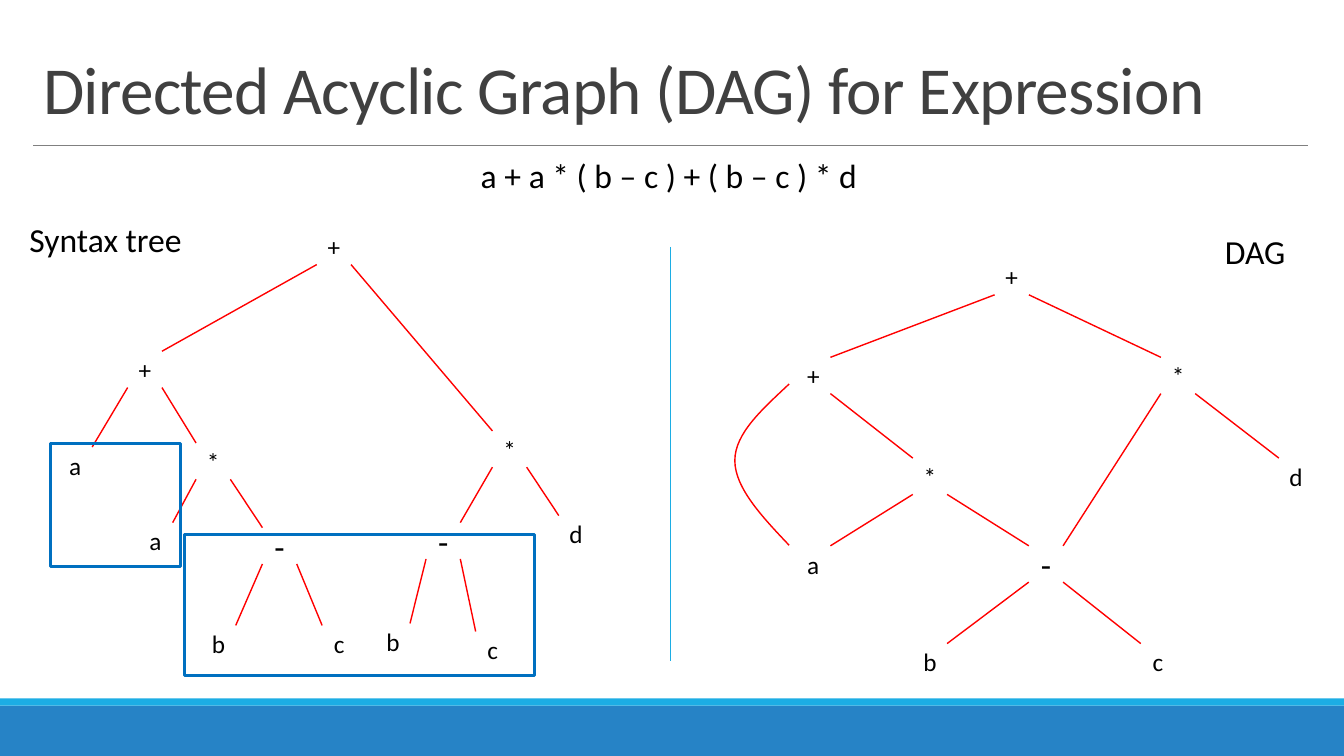
import pptx
import pptx.util
import pptx.dml.color
import pptx.enum.shapes
import pptx.enum.text
import pptx.oxml.ns
import pptx.oxml.xmlchemy

Inches = pptx.util.Inches
Kind = pptx.enum.shapes.MSO_SHAPE
Anchor = pptx.enum.text.MSO_ANCHOR
Align = pptx.enum.text.PP_ALIGN
qn = pptx.oxml.ns.qn

WIDTH, HEIGHT = 13.33, 7.5
FONT = "Calibri"
COLORS = {"paper": "FFFFFF", "band": "2683C6", "stripe": "1CADE4", "rule": "808080",
          "title": "404040", "text": "000000", "edge": "FF0000", "frame": "0070C0"}
NODE_WIDTH, NODE_HEIGHT = 0.49, 0.51
PORT_X, PORT_Y = 0.17, 0.18

TREE = {
    "box": (0, 2, 6.65, 5),
    "heading": ("Syntax tree", 2.9, 2.4, 1.73),
    "nodes": {
        "sum": ("+", 49.8, 8.9), "inner sum": ("+", 21.6, 33.3),
        "first a": ("a", 11.2, 52.3), "left product": ("*", 31.8, 51.5),
        "second a": ("a", 23.2, 67.3), "left minus": ("-", 41.7, 68.3),
        "left b": ("b", 32.6, 87.7), "left c": ("c", 50.6, 87.7),
        "right product": ("*", 76, 49.1), "d": ("d", 85.9, 65.9),
        "right minus": ("-", 66.1, 67.3), "right b": ("b", 58.6, 87.3),
        "right c": ("c", 73.5, 88.9)},
    "children": {
        "sum": ("inner sum", "right product"), "inner sum": ("first a", "left product"),
        "left product": ("second a", "left minus"), "left minus": ("left b", "left c"),
        "right product": ("right minus", "d"), "right minus": ("right b", "right c")},
    "curves": [],
    "frames": [(Kind.RECTANGLE, 27.5, 66, 52.2, 28),
               (Kind.FLOWCHART_PROCESS, 7.5, 48, 19.4, 24.4)],
}
DAG = {
    "box": (6.65, 2, 6.65, 5),
    "heading": ("DAG", 81.2, 4.8, 0.81),
    "nodes": {
        "sum": ("+", 50.9, 14.9), "inner sum": ("+", 21.3, 34.5),
        "right product": ("*", 75.7, 34.5), "d": ("d", 93.3, 54.5),
        "left product": ("*", 38.7, 54.5), "a": ("a", 21.3, 71.9),
        "minus": ("-", 56, 71.9), "b": ("b", 38.7, 91.3), "c": ("c", 72.7, 91.3)},
    "children": {
        "sum": ("inner sum", "right product"), "inner sum": ("left product",),
        "right product": ("minus", "d"), "left product": ("a", "minus"),
        "minus": ("b", "c")},
    "curves": [[(17.7, 36.2), (13.7, 41.2), (9.6, 46), (9.6, 51.4),
                (9.6, 56.8), (13.7, 62.6), (17.7, 68.2)]],
    "frames": [],
}


def rgb(name):
    """Return the named colour."""
    return pptx.dml.color.RGBColor.from_string(COLORS[name])


def apply(target, **formats):
    """Set each format value on the target."""
    for key, value in formats.items():
        setattr(target, key, value)


def write(shape, words, size, color="text", **paragraph_formats):
    """Put one formatted paragraph into a shape and return its run."""
    paragraph = shape.text_frame.paragraphs[0]
    apply(paragraph, **paragraph_formats)
    run = paragraph.add_run()
    run.text = words
    apply(run.font, name=FONT, size=pptx.util.Pt(size))
    run.font.color.rgb = rgb(color)
    return run


def label(slide, words, box, size, color="text", wrap=False, anchor=Anchor.TOP, **formats):
    """Add a text box and return its run."""
    area = slide.shapes.add_textbox(*map(Inches, box))
    apply(area.text_frame, word_wrap=wrap, vertical_anchor=anchor)
    return write(area, words, size, color, **formats)


def outline(shape, color, width):
    """Give a shape a coloured outline without fill or shadow."""
    shape.shadow.inherit = False
    shape.fill.background()
    shape.line.color.rgb = rgb(color)
    shape.line.width = pptx.util.Pt(width)


def solid(slide, kind, box, color):
    """Add a filled shape without outline."""
    shape = slide.shapes.add_shape(kind, *map(Inches, box))
    shape.shadow.inherit = False
    shape.fill.solid()
    shape.fill.fore_color.rgb = rgb(color)
    shape.line.fill.background()
    return shape


def straight(slide, start, end, color, width=1):
    """Draw a straight line between two points."""
    line = slide.shapes.add_connector(pptx.enum.shapes.MSO_CONNECTOR.STRAIGHT,
                                      *map(Inches, (*start, *end)))
    line.line.color.rgb = rgb(color)
    line.line.width = pptx.util.Pt(width)
    line._element.spPr.append(pptx.oxml.xmlchemy.OxmlElement("a:effectLst"))


def curve(slide, points):
    """Draw cubic curves through a start point and triples of control points."""
    start, *rest = [tuple(map(Inches, point)) for point in points]
    builder = slide.shapes.build_freeform(*start)
    builder.add_line_segments(rest, close=False)
    bow = builder.convert_to_shape()
    outline(bow, "edge", 1)
    segments = list(bow._element.iter(qn("a:lnTo")))
    for first in range(0, len(segments), 3):
        cubic = pptx.oxml.xmlchemy.OxmlElement("a:cubicBezTo")
        segments[first].addprevious(cubic)
        for segment in segments[first:first + 3]:
            cubic.append(segment[0])
            segment.getparent().remove(segment)


def node(slide, symbol, center):
    """Add a round node centred on a point."""
    x, y = center
    disc = solid(slide, Kind.OVAL, (x - NODE_WIDTH / 2, y - NODE_HEIGHT / 2,
                                    NODE_WIDTH, NODE_HEIGHT), "paper")
    apply(disc.text_frame, margin_left=0, margin_right=0, margin_top=0, margin_bottom=0,
          word_wrap=True, vertical_anchor=Anchor.MIDDLE)
    write(disc, symbol, 24 if symbol == "-" else 18, alignment=Align.CENTER)


def edge(slide, parent, child):
    """Join the facing corners of a parent and its child."""
    reach = PORT_X if child[0] > parent[0] else -PORT_X
    straight(slide, (parent[0] + reach, parent[1] + PORT_Y),
             (child[0] - reach, child[1] - PORT_Y), "edge")


def graph(slide, content):
    """Draw a graph from percentages of its box."""
    left, top, width, height = content["box"]

    def place(x, y):
        """Return the point at a percentage of the box."""
        return left + width * x / 100, top + height * y / 100

    heading, x, y, heading_width = content["heading"]
    label(slide, heading, (*place(x, y), heading_width, 0.5), 24)
    centers = {key: place(x, y) for key, (_, x, y) in content["nodes"].items()}
    for key, center in centers.items():
        node(slide, content["nodes"][key][0], center)
    for parent, children in content["children"].items():
        for child in children:
            edge(slide, centers[parent], centers[child])
    for points in content["curves"]:
        curve(slide, [place(*point) for point in points])
    for kind, x, y, across, down in content["frames"]:
        box = (*place(x, y), width * across / 100, height * down / 100)
        outline(slide.shapes.add_shape(kind, *map(Inches, box)), "frame", 2.25)


def footer(slide, top):
    """Draw the band and its stripe at the foot of the slide."""
    solid(slide, Kind.RECTANGLE, (0, top, WIDTH, HEIGHT - top), "band")
    solid(slide, Kind.RECTANGLE, (0, top - 0.07, WIDTH, 0.07), "stripe")


def header(slide, left, top, width, height):
    """Write the title over its rule, with the expression below."""
    straight(slide, (left, top + height + 0.12), (left + width, top + height + 0.12),
             "rule", 0.5)
    title = label(slide, "Directed Acyclic Graph (DAG) for Expression",
                  (left, top, width, height), 48, "title", True, Anchor.BOTTOM,
                  line_spacing=0.85)
    title.font._element.set("spc", "-50")
    label(slide, "a + a * ( b – c ) + ( b – c ) * d", (4.67, top + height + 0.17, 3.96, 0.5), 24)


def main():
    """Build the slide and save it."""
    deck = pptx.Presentation()
    apply(deck, slide_width=Inches(WIDTH), slide_height=Inches(HEIGHT))
    slide = deck.slides.add_slide(deck.slide_layouts[6])
    footer(slide, 7)
    header(slide, 0.33, 0.31, 12.64, 1.01)
    for content in (DAG, TREE):
        graph(slide, content)
    straight(slide, (6.65, 2.45), (6.65, 6.56), "stripe")
    deck.save("out.pptx")


if __name__ == "__main__":
    main()
